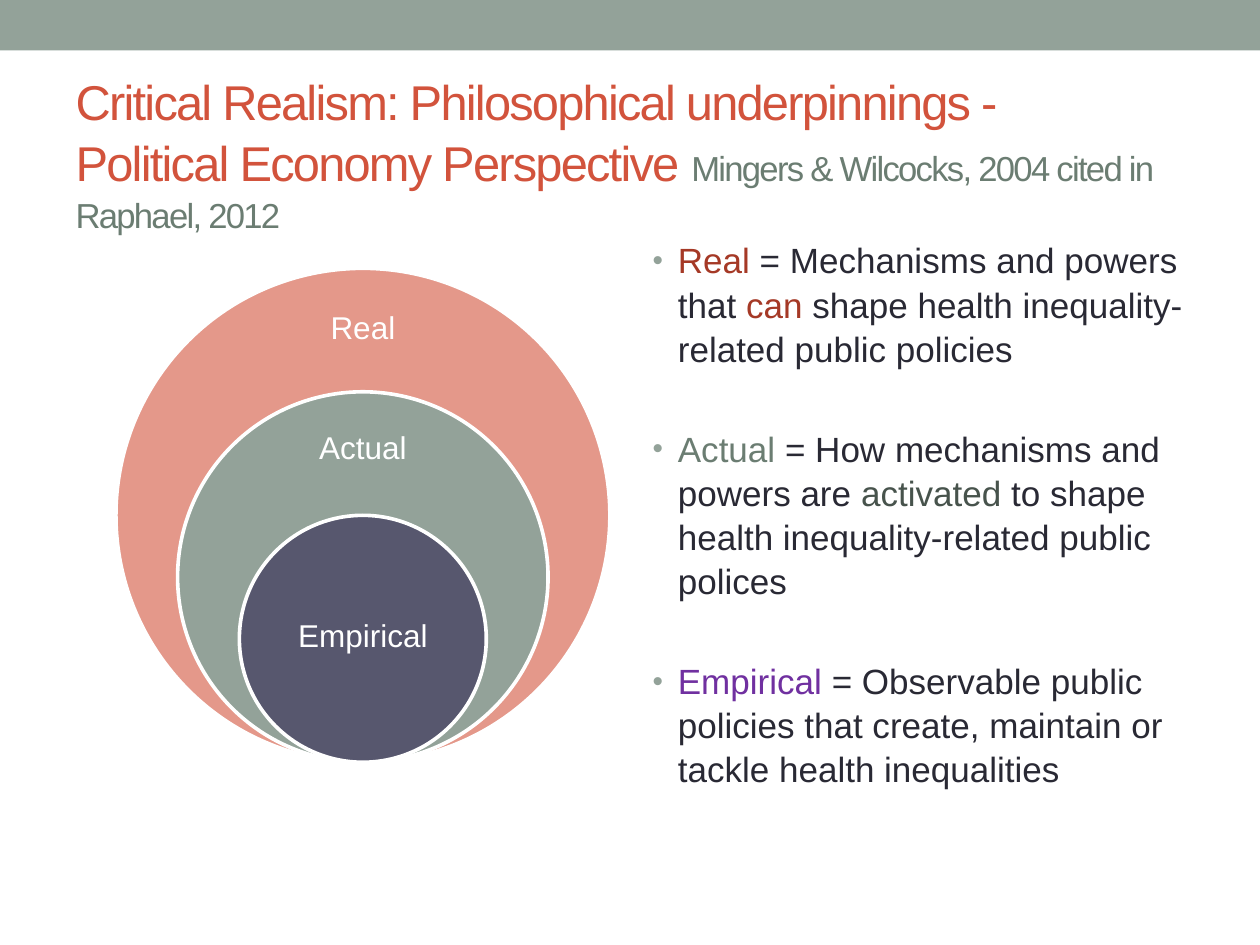
from dataclasses import dataclass

from lxml.etree import SubElement
from pptx import Presentation
from pptx.dml.color import RGBColor
from pptx.enum.shapes import MSO_SHAPE
from pptx.enum.text import MSO_ANCHOR, MSO_AUTO_SIZE, PP_ALIGN
from pptx.oxml.ns import qn
from pptx.util import Inches, Pt


@dataclass(frozen=True)
class Theme:
    """Colours, type sizes and font of the deck."""
    font: str = "Arial"
    title_size: float = 27.9
    citation_size: float = 19.8
    body_size: float = 20
    label_size: float = 18
    white: str = "FFFFFF"
    sage: str = "93A299"
    sage_dark: str = "6B7D72"
    sage_deep: str = "47534C"
    coral: str = "D2533C"
    salmon: str = "E4988A"
    rust: str = "A53926"
    slate: str = "57576E"
    purple: str = "7030A0"
    ink: str = "292934"


THEME = Theme()

# Label, fill, share of the outer diameter, label top and height within the diagram
RINGS = [
    ("Real", THEME.salmon, 1, 0.19, 0.59),
    ("Actual", THEME.sage, 0.75, 1.16, 0.55),
    ("Empirical", THEME.slate, 0.5, 2.44, 0.98),
]

DEFINITIONS = [
    [("Real", THEME.rust), (" = Mechanisms and powers that ", THEME.ink),
     ("can", THEME.rust),
     (" shape health inequality- related public policies", THEME.ink)],
    [("Actual", THEME.sage_dark), (" = How mechanisms and powers are ", THEME.ink),
     ("activated", THEME.sage_deep),
     (" to shape health inequality-related public polices", THEME.ink)],
    [("Empirical", THEME.purple),
     (" = Observable public policies that create, maintain or "
      "tackle health inequalities", THEME.ink)],
]


def place(shape, left, top, width, height):
    """Move a shape to a box given in inches."""
    shape.left, shape.top = Inches(left), Inches(top)
    shape.width, shape.height = Inches(width), Inches(height)


def add_span(para, text, color, size=None):
    """Add a coloured run, with its own size if one is given."""
    span = para.add_run()
    span.text = text
    span.font.color.rgb = RGBColor.from_string(color)
    if size:
        span.font.size = Pt(size)
    return span


def style_paragraph(para, size, align, line_spacing):
    """Set what all runs of a paragraph share."""
    para.font.name = THEME.font
    para.font.size = Pt(size)
    para.alignment = align
    para.line_spacing = line_spacing


def add_filled_shape(shapes, kind, box, color):
    """Add a flat preset shape without an outline."""
    shape = shapes.add_shape(kind, *(Inches(value) for value in box))
    shape.shadow.inherit = False
    shape.fill.solid()
    shape.fill.fore_color.rgb = RGBColor.from_string(color)
    shape.line.fill.background()
    return shape


def set_bullet(para, color, indent):
    """Give a paragraph a hanging round bullet."""
    props = para._p.get_or_add_pPr()
    props.set("marL", str(Inches(indent)))
    props.set("indent", str(-Inches(indent)))
    bullet_color = SubElement(props, qn("a:buClr"))
    SubElement(bullet_color, qn("a:srgbClr"), val=color)
    SubElement(props, qn("a:buSzPct"), val="85000")
    SubElement(props, qn("a:buFont"), typeface=THEME.font)
    SubElement(props, qn("a:buChar"), char="\u2022")


def fill_title(title, box):
    """Write the heading and its smaller citation."""
    place(title, *box)
    frame = title.text_frame
    frame.auto_size = MSO_AUTO_SIZE.NONE
    frame.vertical_anchor = MSO_ANCHOR.MIDDLE
    para = frame.paragraphs[0]
    style_paragraph(para, THEME.title_size, PP_ALIGN.LEFT, 1.05)
    spans = [add_span(para, "Critical Realism: Philosophical underpinnings - ",
                      THEME.coral)]
    para.add_line_break()
    spans.append(add_span(para, "Political Economy Perspective ", THEME.coral))
    spans.append(add_span(para, "Mingers & Wilcocks, 2004 cited in Raphael, 2012",
                          THEME.sage_dark, THEME.citation_size))
    for span in spans:
        span.font._element.set("spc", "-100")


def fill_definitions(body, box):
    """Write the bulleted definitions."""
    place(body, *box)
    frame = body.text_frame
    frame.auto_size = MSO_AUTO_SIZE.NONE
    for index, parts in enumerate(DEFINITIONS):
        para = frame.add_paragraph() if index else frame.paragraphs[0]
        style_paragraph(para, THEME.body_size, PP_ALIGN.LEFT, 1.05)
        para.space_before = Pt(32 if index else 0)
        set_bullet(para, THEME.sage, 0.2)
        for text, color in parts:
            add_span(para, text, color)


def add_label(shapes, text, box):
    """Add a centred white label."""
    label = shapes.add_textbox(*(Inches(value) for value in box))
    frame = label.text_frame
    frame.word_wrap = True
    frame.vertical_anchor = MSO_ANCHOR.MIDDLE
    frame.margin_left = frame.margin_right = Inches(0.14)
    frame.margin_top = frame.margin_bottom = Inches(0.14)
    para = frame.paragraphs[0]
    style_paragraph(para, THEME.label_size, PP_ALIGN.CENTER, 0.9)
    add_span(para, text, THEME.white)


def add_nested_circles(page, left, top, diameter):
    """Draw circles that share their lowest point, each with a label."""
    shapes = page.shapes.add_group_shape().shapes
    center, label_width = left + diameter / 2, 1.38
    for text, color, share, label_top, label_height in RINGS:
        size = diameter * share
        circle = add_filled_shape(
            shapes, MSO_SHAPE.OVAL,
            (center - size / 2, top + diameter - size, size, size), color)
        circle.line.color.rgb = RGBColor.from_string(THEME.white)
        circle.line.width = Pt(2.08)
        add_label(shapes, text, (center - label_width / 2, top + label_top,
                                 label_width, label_height))


def build_page(deck):
    """Build the slide from its band, title, diagram and definitions."""
    page = deck.slides.add_slide(deck.slide_layouts[1])
    add_filled_shape(page.shapes, MSO_SHAPE.RECTANGLE, (0, 0, 10, 0.4), THEME.sage)
    fill_title(page.shapes.title, (0.5, 0.58, 9, 1.25))
    add_nested_circles(page, 0.92, 2.13, 3.92)
    fill_definitions(page.placeholders[1], (5.08, 1.83, 4.42, 5.16))


deck = Presentation()
deck.slide_width, deck.slide_height = Inches(10), Inches(7.5)
build_page(deck)
deck.save("out.pptx")
